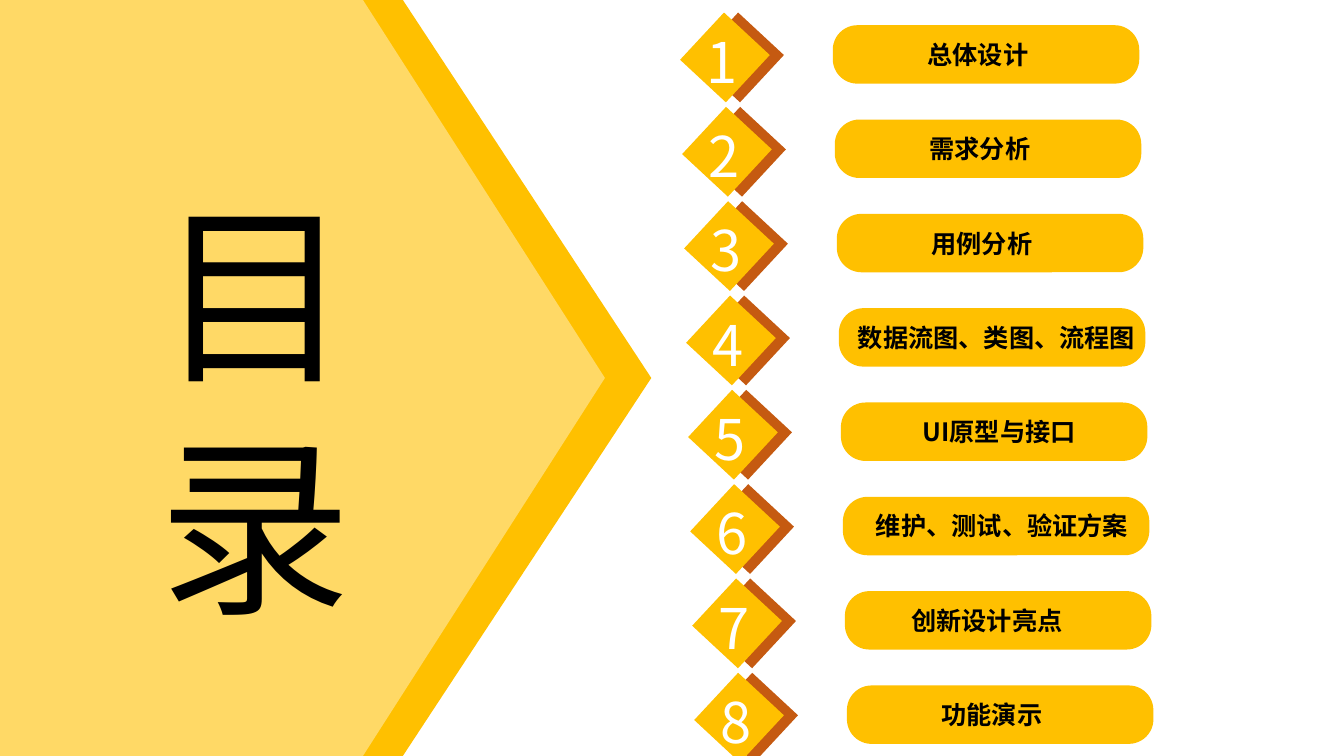
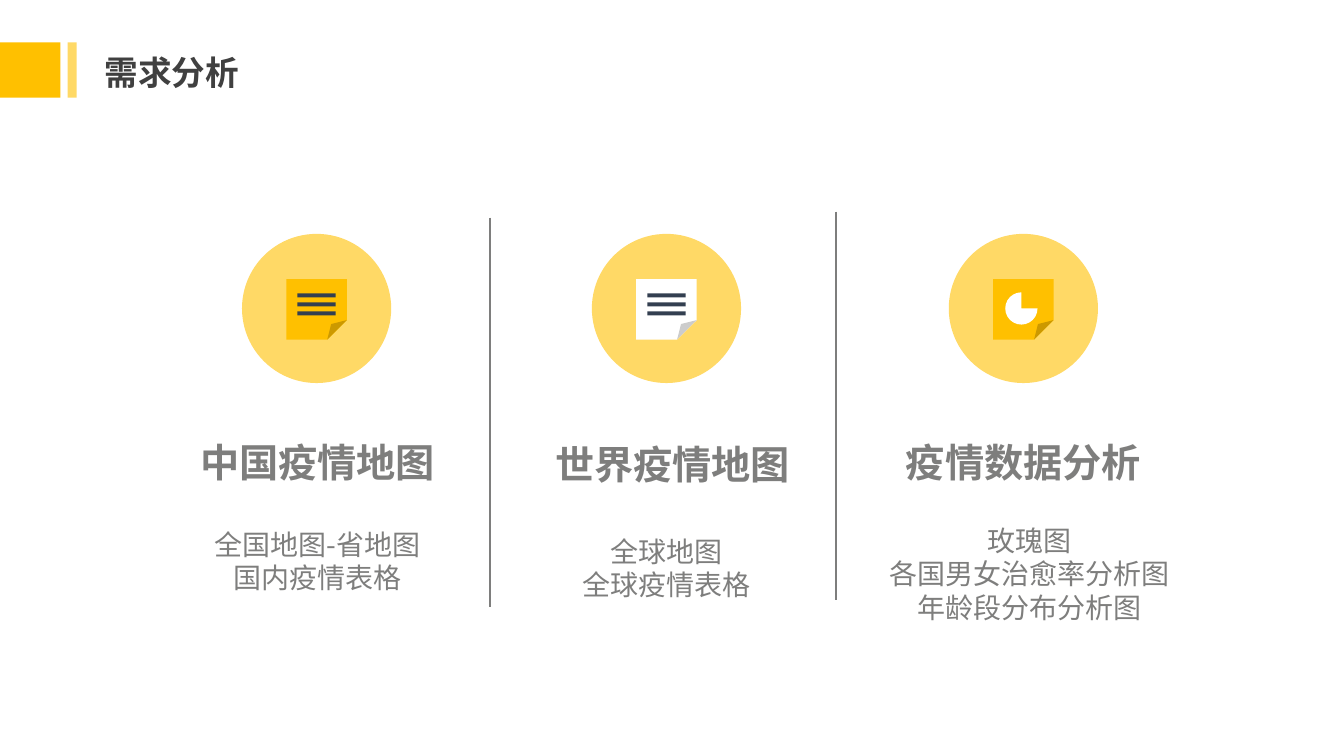
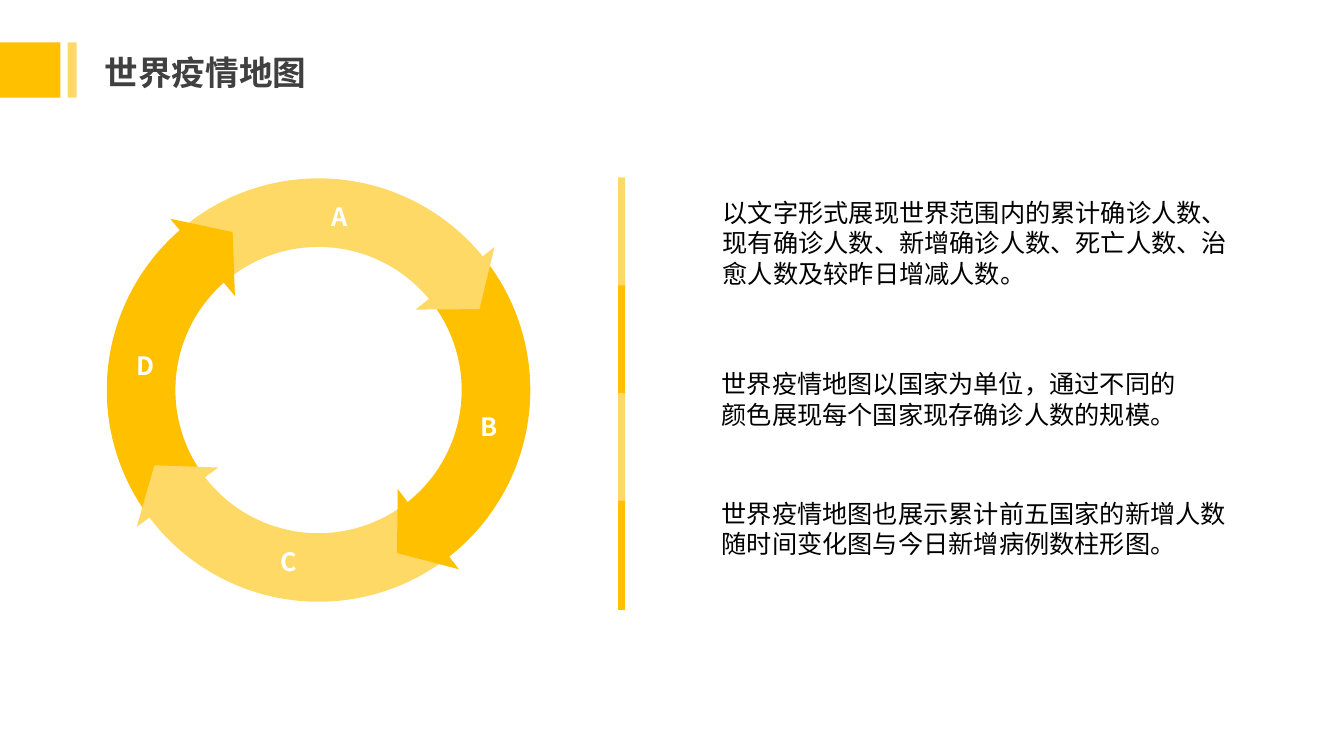
"""Build the contents, requirements and world map slides of an epidemic data deck."""
import math

from lxml import etree
from pptx import Presentation
from pptx import util as u
from pptx.dml.color import RGBColor
from pptx.enum import shapes, text
from pptx.oxml.ns import qn

WIDTH, HEIGHT = 13.33, 7.5
GOLD = RGBColor(0xFF, 0xC0, 0x00)
SAND = RGBColor(0xFF, 0xD9, 0x66)
RUST = RGBColor(0xC5, 0x5A, 0x11)
SLATE = RGBColor(0x33, 0x3F, 0x50)
GREY = RGBColor(0x7E, 0x7E, 0x7D)
CHARCOAL = RGBColor(0x40, 0x40, 0x40)
BLACK = RGBColor(0, 0, 0)
WHITE = RGBColor(0xFF, 0xFF, 0xFF)

SANS = "Noto Sans CJK SC"
DISPLAY = "Noto Sans CJK JP"
KIND = shapes.MSO_SHAPE
CENTER = text.PP_ALIGN.CENTER

STYLES = {
    "contents": dict(name=DISPLAY, size=u.Pt(138), color=BLACK),
    "number": dict(name=DISPLAY, size=u.Pt(40), color=WHITE),
    "chapter": dict(name=SANS, size=u.Pt(18), color=BLACK, bold=True),
    "heading": dict(name=SANS, size=u.Pt(24), color=CHARCOAL, bold=True),
    "topic": dict(name=SANS, size=u.Pt(28), color=GREY, bold=True),
    "detail": dict(name=SANS, size=u.Pt(20), color=GREY),
    "letter": dict(name=SANS, size=u.Pt(18), color=WHITE, bold=True),
    "body": dict(name=SANS, size=u.Pt(18), color=BLACK),
}

CONTENTS_TITLE = "目录"
CHAPTERS = [
    ("总体设计", 2.22, 2.48),
    ("需求分析", 2.22, 2.48),
    ("用例分析", 2.22, 2.48),
    ("数据流图、类图、流程图", 1.47, 3.17),
    ("UI原型与接口", 2.09, 2.48),
    ("维护、测试、验证方案", 1.61, 3.04),
    ("创新设计亮点", 1.94, 2.48),
    ("功能演示", 2.22, 2.48),
]
CHAPTER_LEFT, CHAPTER_TOP = 6.88, 0.25
CHAPTER_SHIFT, CHAPTER_PITCH = 0.02, 6.55 / 7

NEEDS_HEADING = "需求分析"
NEEDS = [
    dict(middle=3.14, note=GOLD, lined=True, topic="中国疫情地图", topic_at=(3.15, 4.3),
         details=["全国地图-省地图", "国内疫情表格"], details_at=(3.15, 5.18)),
    dict(middle=6.61, note=WHITE, lined=True, topic="世界疫情地图", topic_at=(6.67, 4.32),
         details=["全球地图", "全球疫情表格"], details_at=(6.61, 5.25)),
    dict(middle=10.15, note=GOLD, lined=False, topic="疫情数据分析", topic_at=(10.15, 4.3),
         details=["玫瑰图", "各国男女治愈率分析图", "年龄段分布分析图"], details_at=(10.21, 5.14)),
]
DIVIDERS = [(4.86, 2.16, 6.02), (8.29, 2.1, 5.95)]

MAP_HEADING = "世界疫情地图"
SEGMENTS = [
    ("A", 230, 321.6, 277, SAND),
    ("B", 321.6, 52.7, 12, GOLD),
    ("C", 52.7, 144, 100, SAND),
    ("D", 144, 230, 188, GOLD),
]
RING_X, RING_Y, RING_RADIUS, RING_BAND = 3.16, 3.87, 2.1, 0.68
PARAGRAPHS = [
    ("以文字形式展现世界范围内的累计确诊人数、现有确诊人数、新增确诊人数、死亡人数、治愈人数及较昨日增减人数。",
     7.07, 1.91, 5.35, 1.25),
    ("世界疫情地图以国家为单位，通过不同的颜色展现每个国家现存确诊人数的规模。",
     7.06, 3.61, 4.87, 0.94),
    ("世界疫情地图也展示累计前五国家的新增人数随时间变化图与今日新增病例数柱形图。",
     7.06, 4.89, 5.21, 0.94),
]


def inches(*lengths):
    return [u.Inches(length) for length in lengths]


def set_guides(part, guides):
    preset = part._element.spPr.find(qn("a:prstGeom"))
    values = preset.find(qn("a:avLst"))
    if values is None:
        values = etree.SubElement(preset, qn("a:avLst"))
    for old in list(values):
        values.remove(old)
    for name, value in guides.items():
        guide = etree.SubElement(values, qn("a:gd"))
        guide.set("name", name)
        guide.set("fmla", f"val {round(value)}")


def draw(slide, kind, left, top, width, height, fill, turn=0, **guides):
    part = slide.shapes.add_shape(kind, *inches(left, top, width, height))
    part.shadow.inherit = False
    part.fill.solid()
    part.fill.fore_color.rgb = fill
    part.line.fill.background()
    part.rotation = turn
    if guides:
        set_guides(part, guides)


def write(slide, lines, style, left, top, width, height, align=None):
    frame = slide.shapes.add_textbox(*inches(left, top, width, height)).text_frame
    frame.word_wrap = True
    frame.auto_size = text.MSO_AUTO_SIZE.SHAPE_TO_FIT_TEXT
    for index, line in enumerate(lines):
        paragraph = frame.add_paragraph() if index else frame.paragraphs[0]
        paragraph.alignment = align
        run = paragraph.add_run()
        run.text = line
        for key, value in STYLES[style].items():
            if key == "color":
                run.font.color.rgb = value
            else:
                setattr(run.font, key, value)
        east_asian = etree.SubElement(run.font._element, qn("a:ea"))
        east_asian.set("typeface", STYLES[style]["name"])


def add_heading(slide, heading):
    for left, width, fill in [(0, 0.6, GOLD), (0.67, 0.09, SAND)]:
        draw(slide, KIND.RECTANGLE, left, 0.42, width, 0.55, fill)
    write(slide, [heading], "heading", 0.94, 0.47, 3.28, 0.51)


def add_divider(slide, x, top, bottom):
    divider = slide.shapes.add_connector(shapes.MSO_CONNECTOR.STRAIGHT, *inches(x, top, x, bottom))
    divider.line.color.rgb = GREY
    divider.line.width = u.Pt(1)
    etree.SubElement(divider._element.spPr, qn("a:effectLst"))


def on_ring(angle, radius):
    turn = math.radians(angle)
    return RING_X + radius * math.cos(turn), RING_Y + radius * math.sin(turn)


def build_contents(slide):
    for left, width, fill in [(0.3, 6.16, GOLD), (0, 6, SAND)]:
        draw(slide, KIND.RIGHT_ARROW, left, 0, width, HEIGHT, fill, adj1=100000, adj2=40000)
    write(slide, [CONTENTS_TITLE], "contents", 1.48, 1.68, 0.19, 4.75)
    for index, (chapter, indent, width) in enumerate(CHAPTERS):
        left = CHAPTER_LEFT + index * CHAPTER_SHIFT
        top = CHAPTER_TOP + index * CHAPTER_PITCH
        for offset, fill in [(0.14, RUST), (0, GOLD)]:
            draw(slide, KIND.RECTANGLE, left + offset, top, 0.62, 0.64, fill, turn=42.9)
        write(slide, [str(index + 1)], "number", left + 0.03, top - 0.03, 0.58, 0.77)
        draw(slide, KIND.ROUNDED_RECTANGLE, left + 1.38, top, 3.04, 0.58, GOLD, adj=42100)
        write(slide, [chapter], "chapter", left + indent, top + 0.09, width, 0.4)


def build_needs(slide):
    for divider in DIVIDERS:
        add_divider(slide, *divider)
    for need in NEEDS:
        middle = need["middle"]
        draw(slide, KIND.OVAL, middle - 0.74, 2.32, 1.48, 1.48, SAND)
        draw(slide, KIND.FOLDED_CORNER, middle - 0.3, 2.77, 0.6, 0.6, need["note"], adj=32300)
        if need["lined"]:
            for row in range(3):
                draw(slide, KIND.RECTANGLE, middle - 0.19, 2.91 + row * 0.09, 0.38, 0.04, SLATE)
        else:
            draw(slide, KIND.PIE, middle - 0.18, 2.9, 0.32, 0.32, WHITE, adj1=0, adj2=270 * 60000)
        x, y = need["topic_at"]
        write(slide, [need["topic"]], "topic", x - 1.36, y, 2.72, 0.57, CENTER)
        x, y = need["details_at"]
        height = 0.09 + 0.34 * len(need["details"])
        write(slide, need["details"], "detail", x - 1.7, y, 3.4, height, CENTER)
    add_heading(slide, NEEDS_HEADING)


def build_map(slide):
    size = 2 * RING_RADIUS
    for _, start, end, _, fill in SEGMENTS:
        draw(slide, KIND.BLOCK_ARC, RING_X - RING_RADIUS, RING_Y - RING_RADIUS, size, size, fill,
             adj1=start * 60000, adj2=end * 60000, adj3=RING_BAND / size * 100000)
    for index, (letter, _, end, label_angle, fill) in enumerate(SEGMENTS):
        x, y = on_ring(end + 5.3, 1.76)
        draw(slide, KIND.ISOSCELES_TRIANGLE, x - 0.5, y - 0.19, 1, 0.39, fill, turn=(end + 180) % 360)
        x, y = on_ring(label_angle, 1.73)
        write(slide, [letter], "letter", x - 0.2, y - 0.2, 0.4, 0.4, CENTER)
        draw(slide, KIND.RECTANGLE, 6.13, 1.76 + index * 1.07, 0.07, 1.08, fill)
    for paragraph, *place in PARAGRAPHS:
        write(slide, [paragraph], "body", *place)
    add_heading(slide, MAP_HEADING)


def main():
    deck = Presentation()
    deck.slide_width, deck.slide_height = inches(WIDTH, HEIGHT)
    for build in (build_contents, build_needs, build_map):
        build(deck.slides.add_slide(deck.slide_layouts[6]))
    deck.save("out.pptx")


if __name__ == "__main__":
    main()
